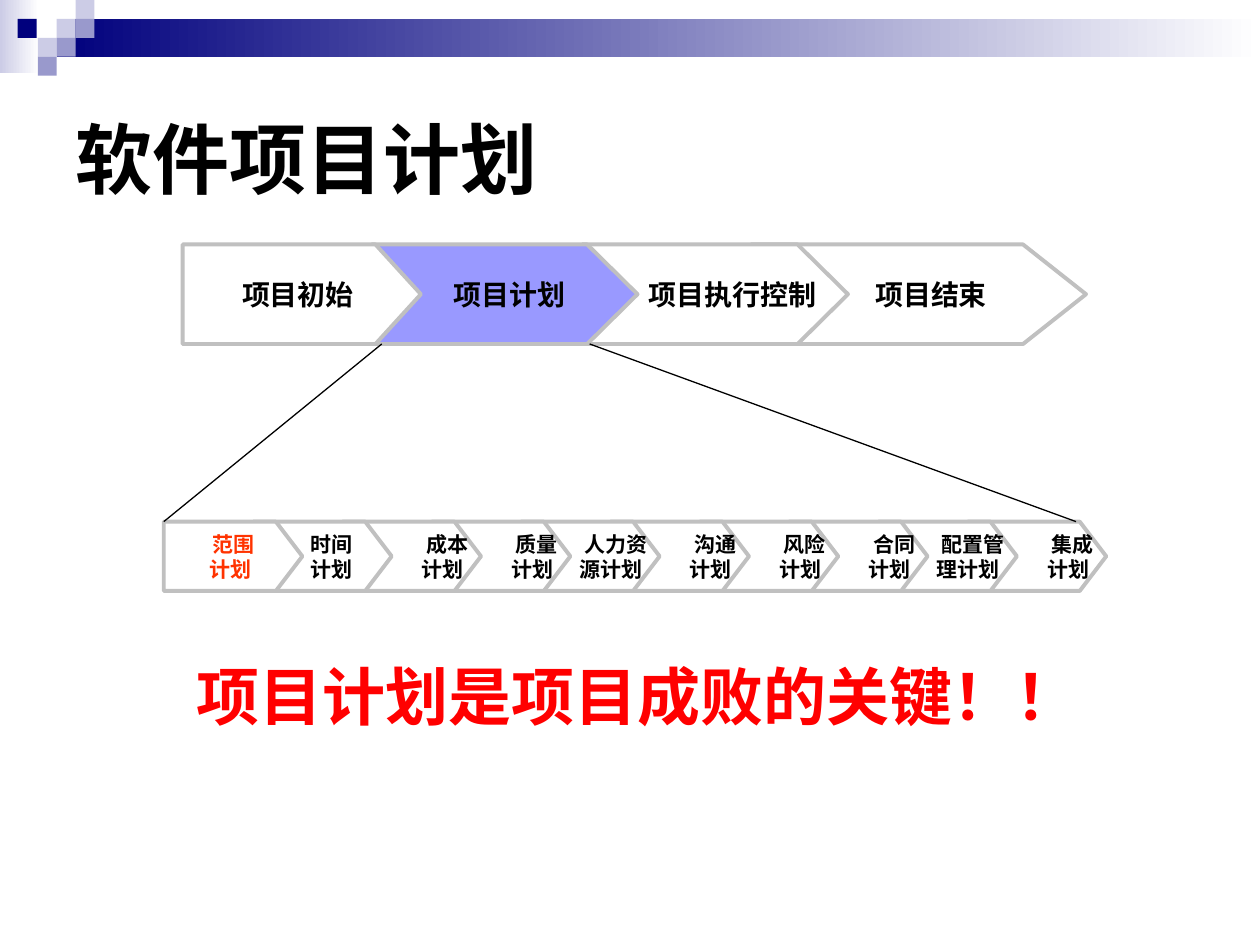
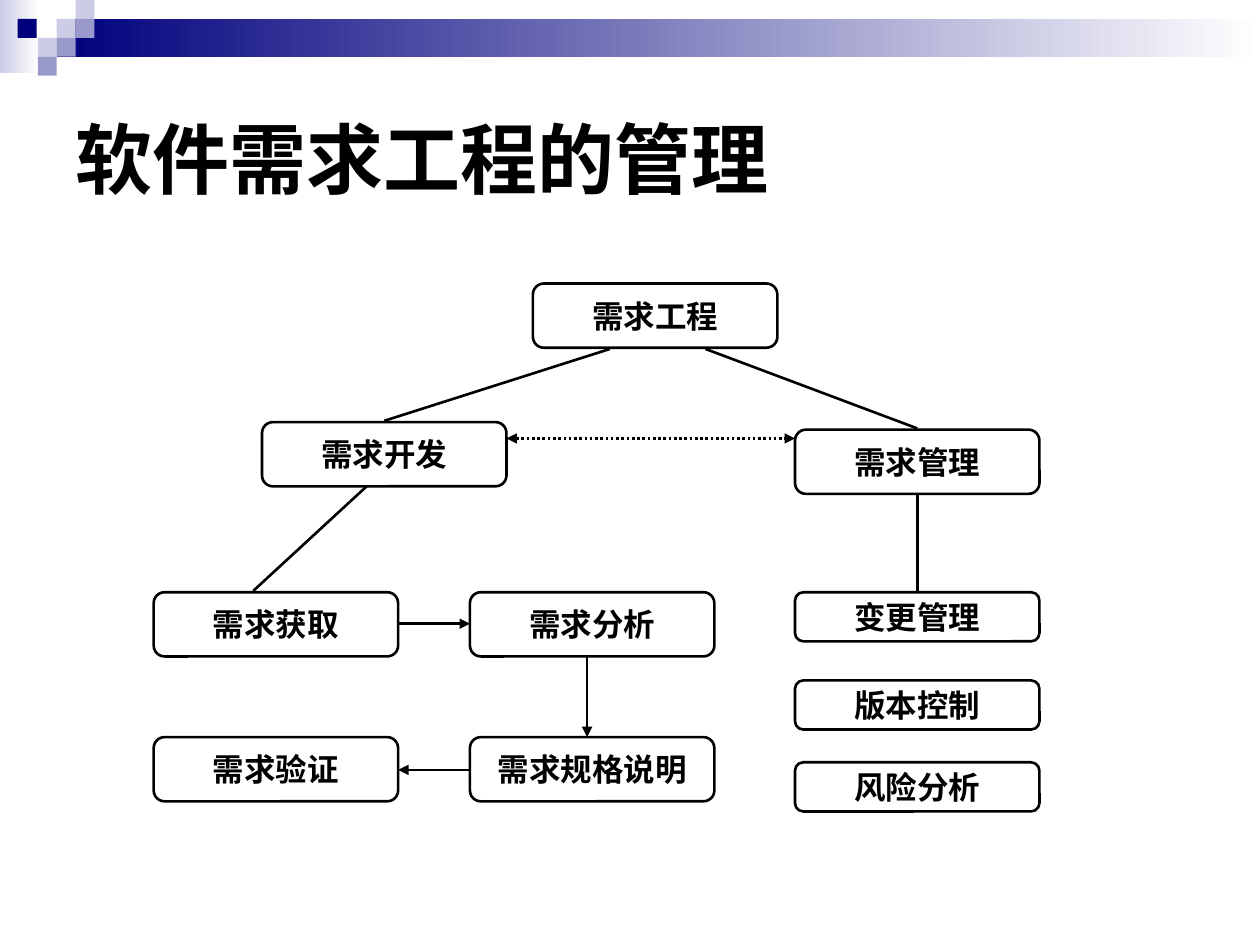
"""Builds two slides on software project planning and requirements engineering."""
from lxml import etree
from pptx import Presentation
from pptx.dml.color import RGBColor
from pptx.enum import dml, shapes, text
from pptx.oxml.ns import qn
from pptx.util import Inches, Pt

CJK = "Noto Sans CJK SC"
BLACK, WHITE, GREY = "000000", "FFFFFF", "C0C0C0"
NAVY, LILAC, MIST = "00007D", "9999CC", "CCCCE6"
LEFT, CENTER, RIGHT = text.PP_ALIGN.LEFT, text.PP_ALIGN.CENTER, text.PP_ALIGN.RIGHT
MIDDLE, TOP = text.MSO_ANCHOR.MIDDLE, text.MSO_ANCHOR.TOP

BANDS = [(0, 0, 0.31, 0.58, MIST), (0.45, 0.15, 9.55, 0.3, NAVY)]
SQUARE = 0.15
SQUARES = [
    (0.45, 0.15, MIST), (0.6, 0, MIST), (0.6, 0.15, LILAC), (0.3, 0.3, MIST),
    (0.14, 0.15, NAVY), (0.45, 0.3, LILAC), (0.3, 0.45, LILAC),
]

PLAN_TITLE = "软件项目计划"
PLAN_SLOGAN = "项目计划是项目成败的关键！！"
STAGE_TOP, STAGE_HEIGHT = 1.94, 0.79
# label, left, width, tip, fill, sideways shift of the label
STAGES = [
    ("项目初始", 1.45, 1.89, 0.36, WHITE, -0.03),
    ("项目计划", 2.95, 2.11, 0.4, "9999FF", 0.04),
    ("项目执行控制", 4.62, 2.11, 0.4, WHITE, 0.14),
    ("项目结束", 5.96, 2.66, 0.5, WHITE, 0.1),
]
PART_TOP, PART_HEIGHT, PART_WIDTH, PART_TIP = 4.14, 0.55, 1.1, 0.21
FIRST_PART, LAST_PART = 1.3, 7.68
PARTS = [
    ("范围\n计划 ", CENTER, "FF3300", 0), ("时间\n计划", CENTER, BLACK, 0.07),
    *((label, RIGHT, BLACK, 0) for label in (
        "成本\n计划 ", "质量\n计划 ", "人力资\n源计划 ", "沟通\n计划 ",
        "风险\n计划 ", "合同\n计划 ", "配置管\n理计划 ", "集成\n计划 ")),
]
ZOOM_LINES = [(3.03, 2.73, 1.3, 4.14), (4.68, 2.73, 8.54, 4.14)]

NEEDS_TITLE = "软件需求工程的管理"
NODE_WIDTH, TALL, LOW = 1.94, 0.51, 0.39
NODES = [
    ("需求工程", 4.23, 2.25, TALL), ("需求管理", 6.31, 3.41, TALL),
    ("需求开发", 2.08, 3.35, TALL), ("需求获取", 1.22, 4.7, TALL),
    ("需求分析", 3.73, 4.7, TALL), ("需求规格说明", 3.73, 5.85, TALL),
    ("需求验证", 1.22, 5.85, TALL), ("变更管理", 6.31, 4.7, LOW),
    ("版本控制", 6.31, 5.4, LOW), ("风险分析", 6.31, 6.05, LOW),
]
BRANCHES = [
    (4.84, 2.77, 3.05, 3.34), (5.6, 2.77, 7.28, 3.4),
    (2.91, 3.86, 2.01, 4.69), (7.28, 3.93, 7.28, 4.69),
]
FLOWS = [(3.16, 4.95, 3.73, 4.95), (4.66, 5.21, 4.66, 5.85), (3.73, 6.11, 3.16, 6.11)]
EXCHANGE = (4.02, 3.48, 6.31, 3.48)


def rgb(code):
    return RGBColor.from_string(code)


def inches(*lengths):
    return [Inches(length) for length in lengths]


def paint(shape, fill=None, line=None, width=1.5):
    shape.shadow.inherit = False
    if fill:
        shape.fill.solid()
        shape.fill.fore_color.rgb = rgb(fill)
    else:
        shape.fill.background()
    if line:
        shape.line.color.rgb = rgb(line)
        shape.line.width = Pt(width)
    else:
        shape.line.fill.background()


def write(shape, words, size=18, color=BLACK, font=CJK, align=CENTER,
          anchor=MIDDLE, wrap=False, before=0, shift=0):
    frame = shape.text_frame
    frame.word_wrap = wrap
    frame.vertical_anchor = anchor
    frame.margin_left = Inches(0.1 + max(2 * shift, 0))
    frame.margin_right = Inches(0.1 + max(-2 * shift, 0))
    frame.margin_top = frame.margin_bottom = Inches(0.05)
    for index, line in enumerate(words.split("\n")):
        paragraph = frame.add_paragraph() if index else frame.paragraphs[0]
        paragraph.alignment = align
        paragraph.space_before = Pt(before)
        run = paragraph.add_run()
        run.text = line
        run.font.name = font
        run.font.size = Pt(size)
        run.font.bold = True
        run.font.color.rgb = rgb(color)
        etree.SubElement(run.font._element, qn("a:ea"), typeface=CJK)


def connect(slide, ends, width=1.5, head=False, tail=False, dash=None):
    link = slide.shapes.add_connector(shapes.MSO_CONNECTOR.STRAIGHT, *inches(*ends))
    link.line.color.rgb = rgb(BLACK)
    link.line.width = Pt(width)
    if dash:
        link.line.dash_style = dash
    outline = link.line._get_or_add_ln()
    for tag, wanted in (("a:headEnd", head), ("a:tailEnd", tail)):
        if wanted:
            etree.SubElement(outline, qn(tag), type="triangle")
    etree.SubElement(link._element.spPr, qn("a:effectLst"))


def pentagon(slide, left, top, width, height, tip, fill):
    right, bottom = left + width, top + height
    corners = [(right - tip, top), (right, top + height / 2),
               (right - tip, bottom), (left, bottom)]
    outline = slide.shapes.build_freeform(*inches(left, top))
    outline.add_line_segments([inches(*corner) for corner in corners], close=True)
    arrow = outline.convert_to_shape()
    paint(arrow, fill, GREY, 2.25)
    return arrow


def start_slide(deck, title):
    slide = deck.slides.add_slide(deck.slide_layouts[6])
    for *place, color in BANDS:
        band = slide.shapes.add_shape(shapes.MSO_SHAPE.RECTANGLE, *inches(*place))
        paint(band, color)
        band.fill.gradient()
        band.fill.gradient_angle = 0
        for stop, shade in zip(band.fill.gradient_stops, (color, WHITE)):
            stop.color.rgb = rgb(shade)
    for left, top, color in SQUARES:
        square = slide.shapes.add_shape(
            shapes.MSO_SHAPE.RECTANGLE, *inches(left, top, SQUARE, SQUARE))
        paint(square, color)
    heading = slide.shapes.add_textbox(*inches(0.5, 0.5, 9, 1.5))
    write(heading, title, size=44, align=LEFT, wrap=True)
    return slide


def plan_slide(deck):
    slide = start_slide(deck, PLAN_TITLE)
    for label, left, width, tip, fill, shift in reversed(STAGES):
        stage = pentagon(slide, left, STAGE_TOP, width, STAGE_HEIGHT, tip, fill)
        write(stage, label, size=16, shift=shift)
    pitch = (LAST_PART - FIRST_PART) / (len(PARTS) - 1)
    for index, (label, align, color, shift) in reversed(list(enumerate(PARTS))):
        part = pentagon(slide, FIRST_PART + index * pitch, PART_TOP,
                        PART_WIDTH, PART_HEIGHT, PART_TIP, WHITE)
        write(part, label, size=12, color=color, align=align, shift=shift)
    for ends in ZOOM_LINES:
        connect(slide, ends, width=0.75)
    slogan = slide.shapes.add_textbox(*inches(1.46, 5.17, 7.4, 0.7))
    write(slogan, PLAN_SLOGAN, size=36, color="FF0000", font="Arial",
          align=LEFT, anchor=TOP, wrap=True, before=22.5)


def needs_slide(deck):
    slide = start_slide(deck, NEEDS_TITLE)
    for label, left, top, height in NODES:
        node = slide.shapes.add_shape(
            shapes.MSO_SHAPE.ROUNDED_RECTANGLE, *inches(left, top, NODE_WIDTH, height))
        node.adjustments[0] = 0.17
        paint(node, line=BLACK)
        write(node, label, font="Arial", before=11.2)
    for ends in BRANCHES:
        connect(slide, ends)
    for ends in FLOWS:
        connect(slide, ends, tail=True)
    connect(slide, EXCHANGE, head=True, tail=True, dash=dml.MSO_LINE.ROUND_DOT)


def main():
    deck = Presentation()
    deck.slide_width, deck.slide_height = inches(10, 7.5)
    plan_slide(deck)
    needs_slide(deck)
    deck.save("out.pptx")


if __name__ == "__main__":
    main()
